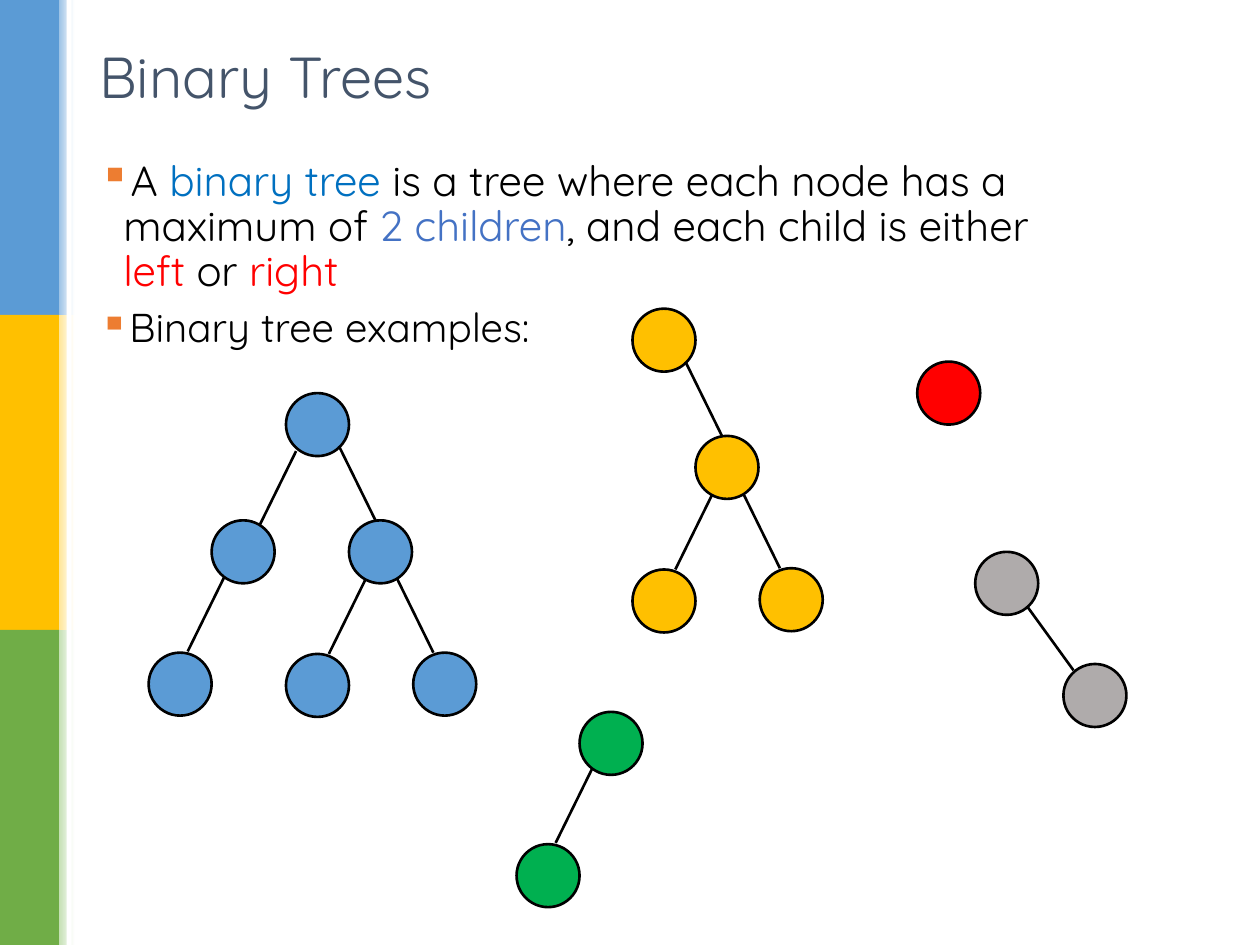
from dataclasses import dataclass

from lxml.etree import SubElement
from pptx import Presentation
from pptx.dml.color import RGBColor
from pptx.enum.shapes import MSO_CONNECTOR, MSO_SHAPE
from pptx.enum.text import MSO_ANCHOR
from pptx.oxml.ns import qn
from pptx.shapes.autoshape import Shape
from pptx.slide import Slide
from pptx.text.text import _Paragraph as Paragraph
from pptx.util import Inches, Pt

COLUMNS, ROWS = 100, 75
WIDTH, HEIGHT = Inches(10), Inches(7.5)
FONT = "Quicksand"
BLACK, WHITE, RED = "000000", "FFFFFF", "FF0000"
BLUE, YELLOW, GREEN, GRAY = "5B9BD5", "FFC000", "00B050", "AFABAB"
NODE_SIZE = 5


@dataclass(frozen=True)
class Band:
    color: str
    fade: str


@dataclass(frozen=True)
class Span:
    text: str
    color: str = BLACK


@dataclass(frozen=True)
class Branch:
    column: float
    row: float
    across: float
    down: float = 5.9


@dataclass(frozen=True)
class Tree:
    color: str
    nodes: tuple[tuple[float, float], ...]
    branches: tuple[Branch, ...] = ()


LEFT, RIGHT = -2.9, 2.9
BANDS = (Band(BLUE, "9DC3E6"), Band(YELLOW, "FFE699"), Band("70AD47", "C5E0B4"))
DEFINITION = (
    Span("A "),
    Span("binary tree ", "0070C0"),
    Span("is a tree where each node has a maximum of "),
    Span("2 children", "4472C4"),
    Span(", and each child is either \v"),
    Span("left", RED),
    Span(" or "),
    Span("right", RED),
)
TREES = (
    Tree(
        BLUE,
        ((22.7, 31.2), (16.8, 41.3), (27.7, 41.3), (11.8, 51.8), (22.7, 51.9), (32.8, 51.8)),
        (
            Branch(23.5, 35.8, LEFT),
            Branch(26.9, 35.4, RIGHT),
            Branch(17.8, 45.8, LEFT),
            Branch(29, 46, LEFT),
            Branch(31.5, 45.9, RIGHT),
        ),
    ),
    Tree(
        YELLOW,
        ((50.2, 24.5), (55.2, 34.6), (50.2, 45.2), (60.3, 45.1)),
        (Branch(54.4, 28.7, RIGHT), Branch(56.5, 39.3, LEFT), Branch(59, 39.2, RIGHT)),
    ),
    Tree(GREEN, ((46, 56.5), (41, 67)), (Branch(47, 61, LEFT),)),
    Tree(RED, ((72.8, 28.7),)),
    Tree(GRAY, ((77.4, 43.8), (84.4, 52.7)), (Branch(81.5, 48.1, 3.7, 5.1),)),
)


def paint(color: str) -> RGBColor:
    return RGBColor.from_string(color)


def place(column: float, row: float) -> tuple[int, int]:
    return round(WIDTH * column / COLUMNS), round(HEIGHT * row / ROWS)


def add_shape(page: Slide, kind: MSO_SHAPE, column: float, row: float,
              columns: float, rows: float, color: str) -> Shape:
    shape = page.shapes.add_shape(kind, *place(column, row), *place(columns, rows))
    shape.shadow.inherit = False
    shape.fill.solid()
    shape.fill.fore_color.rgb = paint(color)
    shape.line.fill.background()
    return shape


def draw_sidebar(page: Slide) -> None:
    rows = ROWS / len(BANDS)
    for index, band in enumerate(BANDS):
        add_shape(page, MSO_SHAPE.RECTANGLE, 0, index * rows, 4.7, rows, band.color)
        fade = add_shape(page, MSO_SHAPE.RECTANGLE, 4.7, index * rows, 1.2, rows, band.fade)
        fade.fill.gradient()
        fade.fill.gradient_angle = 0
        for stop, color in zip(fade.fill.gradient_stops, (band.fade, WHITE)):
            stop.color.rgb = paint(color)
    add_shape(page, MSO_SHAPE.RECTANGLE, 5.3, 0, 0.4, ROWS, WHITE)


def add_box(page: Slide, column: float, row: float, columns: float, rows: float) -> Shape:
    box = page.shapes.add_textbox(*place(column, row), *place(columns, rows))
    box.text_frame.word_wrap = True
    return box


def write(paragraph: Paragraph, spans: tuple[Span, ...], size: float) -> None:
    for span in spans:
        text, *rest = span.text.split("\v")
        run = paragraph.add_run()
        run.text = text
        run.font.name = FONT
        run.font.size = Pt(size)
        run.font.color.rgb = paint(span.color)
        if rest:
            paragraph.add_line_break()


def add_bullet(paragraph: Paragraph) -> None:
    properties = paragraph._p.get_or_add_pPr()
    properties.set("marL", str(Inches(0.19)))
    properties.set("indent", str(Inches(-0.19)))
    color = SubElement(properties, qn("a:buClr"))
    SubElement(color, qn("a:srgbClr"), val="ED7D31")
    SubElement(properties, qn("a:buChar"), char="▪")
    paragraph.line_spacing = 0.9


def draw_text(page: Slide) -> None:
    title = add_box(page, 6.9, 2.6, 86.2, 6.8).text_frame
    title.vertical_anchor = MSO_ANCHOR.MIDDLE
    write(title.paragraphs[0], (Span("Binary Trees", "44546A"),), 33)

    body = add_box(page, 6.9, 12.2, 88.6, 58.3).text_frame
    definition, examples = body.paragraphs[0], body.add_paragraph()
    add_bullet(definition)
    write(definition, DEFINITION, 24)
    add_bullet(examples)
    examples.space_before = Pt(7)
    write(examples, (Span("Binary tree examples:"),), 23)


def draw_tree(page: Slide, tree: Tree) -> None:
    for column, row in tree.nodes:
        node = add_shape(page, MSO_SHAPE.OVAL, column, row, NODE_SIZE, NODE_SIZE, tree.color)
        node.line.color.rgb = paint(BLACK)
        node.line.width = Pt(1.5)
    for branch in tree.branches:
        start = place(branch.column, branch.row)
        end = place(branch.column + branch.across, branch.row + branch.down)
        line = page.shapes.add_connector(MSO_CONNECTOR.STRAIGHT, *start, *end)
        line.line.color.rgb = paint(BLACK)
        line.line.width = Pt(1.5)
        SubElement(line._element.spPr, qn("a:effectLst"))


def main() -> None:
    deck = Presentation()
    deck.slide_width, deck.slide_height = WIDTH, HEIGHT
    page = deck.slides.add_slide(deck.slide_layouts[6])
    draw_sidebar(page)
    draw_text(page)
    for tree in TREES:
        draw_tree(page, tree)
    deck.save("out.pptx")


if __name__ == "__main__":
    main()
